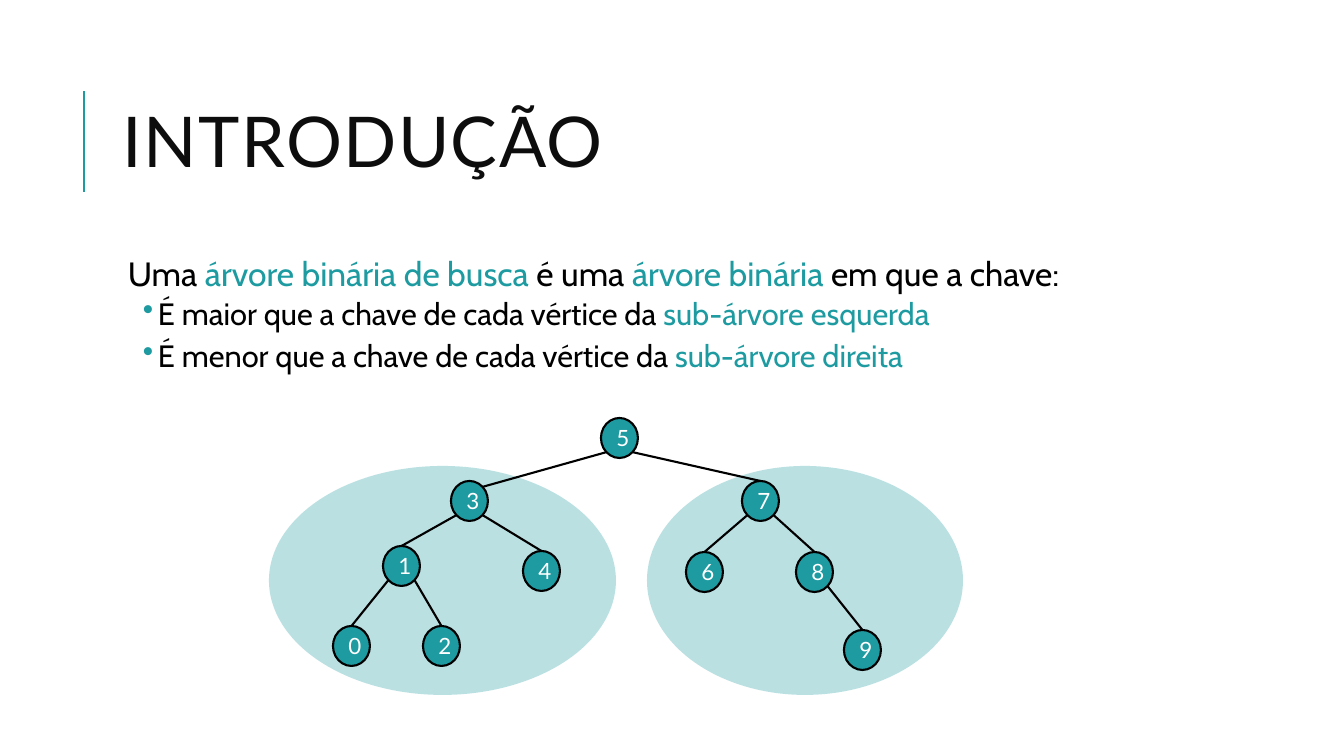
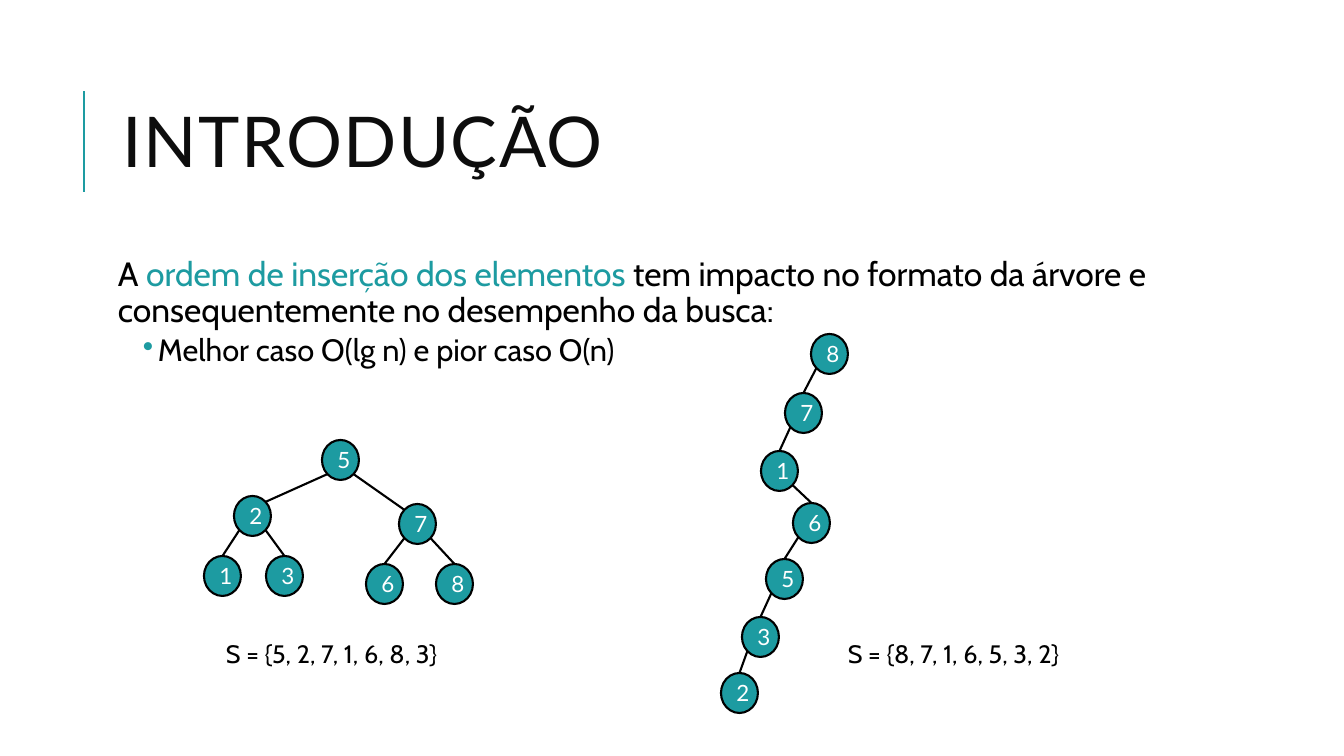
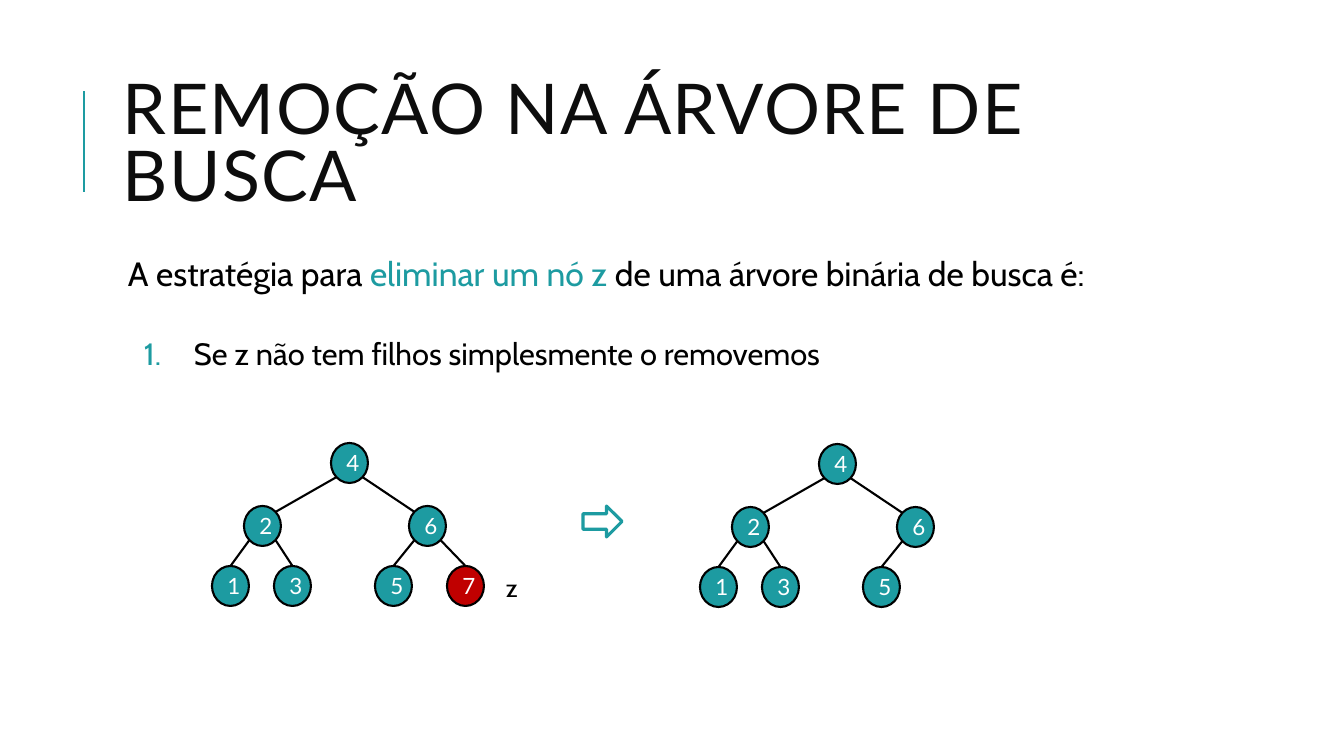
"""Builds three slides on binary search trees."""
from dataclasses import dataclass
from math import sqrt
from typing import Optional

from lxml import etree
from pptx import Presentation
from pptx import util as u
from pptx.dml.color import RGBColor
from pptx.enum import shapes, text
from pptx.oxml.ns import qn

PX = 914400 / 100.8
TEAL = RGBColor(0x1D, 0x9B, 0xA1)
RED = RGBColor(0xC0, 0x00, 0x00)
INK = RGBColor(0x0D, 0x0D, 0x0D)
BLACK = RGBColor(0x00, 0x00, 0x00)
WHITE = RGBColor(0xFF, 0xFF, 0xFF)
HEAD_FONT, BODY_FONT = "Lato", "Cabin"
NODE_W, NODE_H = 37, 40
DIAGONAL = sqrt(2) / 4


@dataclass(frozen=True)
class Box:
    x: int
    y: int
    w: int
    h: int


@dataclass(frozen=True)
class Run:
    text: str
    color: RGBColor = BLACK


@dataclass(frozen=True)
class Para:
    runs: tuple[Run, ...]
    size: int = 24
    before: float = 12
    after: float = 2
    margin: int = 0
    hanging: int = 0
    bullet: Optional[tuple[str, str, str]] = None


@dataclass(frozen=True)
class Node:
    key: int
    x: int
    y: int
    parent: Optional[int] = None
    at_corner: bool = False
    color: RGBColor = TEAL


TITLE = Box(113, 65, 1072, 165)
BODY = Box(113, 252, 1072, 444)
DOT = ("a:buChar", "char", "•")
NUMBER = ("a:buAutoNum", "type", "arabicPeriod")

SUBTREES = (Box(269, 466, 347, 229), Box(647, 466, 316, 229))
SEARCH_TREE = (
    Node(5, 601, 418),
    Node(3, 451, 481, 5, True), Node(7, 742, 481, 5),
    Node(1, 383, 546, 3), Node(4, 523, 551, 3),
    Node(6, 686, 552, 7), Node(8, 796, 552, 7),
    Node(0, 333, 626, 1), Node(2, 423, 626, 1), Node(9, 844, 630, 8),
)
BEST_CASE = (
    Node(5, 322, 440),
    Node(2, 234, 496, 5, True), Node(7, 399, 504, 5, True),
    Node(1, 204, 556, 2), Node(3, 266, 556, 2),
    Node(6, 366, 564, 7), Node(8, 436, 564, 7),
)
WORST_CASE = (
    Node(8, 811, 334), Node(7, 785, 393, 8), Node(1, 761, 451, 7),
    Node(6, 793, 503, 1), Node(5, 766, 559, 6), Node(3, 742, 617, 5),
    Node(2, 721, 673, 3),
)
BEFORE_REMOVAL = (
    Node(4, 331, 443),
    Node(2, 244, 506, 4, True), Node(6, 409, 506, 4, True),
    Node(1, 212, 566, 2), Node(3, 274, 566, 2),
    Node(5, 375, 566, 6), Node(7, 447, 566, 6, color=RED),
)
AFTER_REMOVAL = tuple(n for n in BEFORE_REMOVAL if n.key != 7)


def px(value: float) -> u.Emu:
    """Turn pixels into EMU."""
    return u.Emu(round(value * PX))


def place(box: Box) -> tuple[u.Emu, ...]:
    """Give the EMU position and size of a box."""
    return px(box.x), px(box.y), px(box.w), px(box.h)


def add_run(p, content: str, font: str, size: float, color: RGBColor):
    """Add one formatted run to a paragraph."""
    r = p.add_run()
    r.text = content
    r.font.name, r.font.size = font, u.Pt(size)
    r.font.color.rgb = color
    return r


def add_line(parent, x1: float, y1: float, x2: float, y2: float,
             color: RGBColor = BLACK) -> None:
    """Draw a straight line without a shadow."""
    line = parent.add_connector(shapes.MSO_CONNECTOR.STRAIGHT,
                                px(x1), px(y1), px(x2), px(y2))
    line.line.color.rgb = color
    line.line.width = u.Pt(1.5)
    etree.SubElement(line._element.spPr, qn("a:effectLst"))


def add_preset(parent, kind, box: Box, fill: RGBColor,
               line: Optional[RGBColor] = None, width: float = 1.5):
    """Draw a flat preset shape."""
    sp = parent.add_shape(kind, *place(box))
    sp.shadow.inherit = False
    sp.fill.solid()
    sp.fill.fore_color.rgb = fill
    if line is None:
        sp.line.fill.background()
    else:
        sp.line.color.rgb = line
        sp.line.width = u.Pt(width)
    return sp


def add_subtree(s, box: Box) -> None:
    """Draw the translucent ellipse behind a subtree."""
    sp = add_preset(s.shapes, shapes.MSO_SHAPE.OVAL, box, TEAL)
    color = sp._element.spPr.find(".//" + qn("a:srgbClr"))
    etree.SubElement(color, qn("a:alpha")).set("val", "30000")


def add_edge(parent, top: Node, child: Node) -> None:
    """Join a node's lower corner to its child."""
    side = 1 if child.x > top.x else -1
    end_x, end_y = child.x + NODE_W / 2, child.y
    if child.at_corner:
        end_x -= side * DIAGONAL * NODE_W
        end_y += (0.5 - DIAGONAL) * NODE_H
    add_line(parent, top.x + (0.5 + side * DIAGONAL) * NODE_W,
             top.y + (0.5 + DIAGONAL) * NODE_H, end_x, end_y)


def add_tree(parent, nodes: tuple[Node, ...], dx: int = 0, dy: int = 0) -> None:
    """Draw the nodes and edges of a tree, shifted by dx and dy."""
    placed = {n.key: Node(n.key, n.x + dx, n.y + dy, n.parent, n.at_corner, n.color)
              for n in nodes}
    for node in placed.values():
        sp = add_preset(parent, shapes.MSO_SHAPE.OVAL,
                        Box(node.x, node.y, NODE_W, NODE_H), node.color, BLACK)
        tf = sp.text_frame
        tf.vertical_anchor = text.MSO_ANCHOR.MIDDLE
        p = tf.paragraphs[0]
        p.alignment = text.PP_ALIGN.CENTER
        add_run(p, str(node.key), HEAD_FONT, 16, WHITE)
        if node.parent is not None:
            add_edge(parent, placed[node.parent], node)


def add_label(s, box: Box, content: str, wrap: bool = True) -> None:
    """Add a short caption."""
    tf = s.shapes.add_textbox(*place(box)).text_frame
    tf.word_wrap = wrap
    tf.auto_size = text.MSO_AUTO_SIZE.SHAPE_TO_FIT_TEXT
    add_run(tf.paragraphs[0], content, BODY_FONT, 18, BLACK)


def add_body(s, paras: tuple[Para, ...]) -> None:
    """Add the body text with its bullets."""
    tf = s.shapes.add_textbox(*place(BODY)).text_frame
    tf.word_wrap = True
    tf.margin_left = tf.margin_right = tf.margin_top = tf.margin_bottom = px(5)
    for i, para in enumerate(paras):
        p = tf.add_paragraph() if i else tf.paragraphs[0]
        p.line_spacing = 0.9
        p.space_before, p.space_after = u.Pt(para.before), u.Pt(para.after)
        pPr = p._p.get_or_add_pPr()
        pPr.set("marL", str(px(para.margin)))
        pPr.set("indent", str(-px(para.hanging)))
        if para.bullet:
            p.level = 1
            tag, attribute, value = para.bullet
            color = etree.SubElement(pPr, qn("a:buClr"))
            etree.SubElement(color, qn("a:srgbClr")).set("val", str(TEAL))
            etree.SubElement(pPr, qn(tag)).set(attribute, value)
        for run in para.runs:
            add_run(p, run.text, BODY_FONT, para.size, run.color)


def item(*runs: Run) -> Para:
    """Make a dotted second-level paragraph."""
    return Para(runs, 22, 2, 4, 40, 15, DOT)


def add_slide(prs, title: str):
    """Add a slide with the accent line and the title."""
    s = prs.slides.add_slide(prs.slide_layouts[6])
    add_line(s.shapes, 84, 192, 84, 91, TEAL)
    tf = s.shapes.add_textbox(*place(TITLE)).text_frame
    tf.word_wrap = True
    tf.vertical_anchor = text.MSO_ANCHOR.MIDDLE
    p = tf.paragraphs[0]
    p.line_spacing = 0.8
    r = add_run(p, title, HEAD_FONT, 50, INK)
    r._r.get_or_add_rPr().set("spc", "100")
    return s


def definition_slide(prs) -> None:
    """Define the binary search tree."""
    s = add_slide(prs, "INTRODUÇÃO")
    for box in SUBTREES:
        add_subtree(s, box)
    add_body(s, (
        Para((Run("Uma "), Run("árvore binária de busca", TEAL), Run(" é uma "),
              Run("árvore binária ", TEAL), Run("em que a chave:")), margin=10),
        item(Run("É maior que a chave de cada vértice da "),
             Run("sub-árvore esquerda", TEAL)),
        item(Run("É menor que a chave de cada vértice da "),
             Run("sub-árvore direita", TEAL)),
    ))
    add_tree(s.shapes, SEARCH_TREE)


def insertion_slide(prs) -> None:
    """Compare the best and worst insertion orders."""
    s = add_slide(prs, "INTRODUÇÃO")
    add_body(s, (
        Para((Run("A "), Run("ordem de inserção dos elementos ", TEAL),
              Run("tem impacto no formato da árvore e "
                  "consequentemente no desempenho da busca:"))),
        item(Run("Melhor caso O(lg n) e pior caso O(n)")),
    ))
    add_tree(s.shapes.add_group_shape().shapes, BEST_CASE)
    add_label(s, Box(216, 633, 266, 40), "S = {5, 2, 7, 1, 6, 8, 3}")
    add_tree(s.shapes.add_group_shape().shapes, WORST_CASE)
    add_label(s, Box(838, 633, 270, 40), "S = {8, 7, 1, 6, 5, 3, 2}")


def removal_slide(prs) -> None:
    """Show the removal of a leaf."""
    s = add_slide(prs, "REMOÇÃO NA ÁRVORE DE BUSCA")
    add_body(s, (
        Para((Run("A estratégia para "), Run("eliminar um nó z ", TEAL),
              Run("de uma árvore binária de busca é:")), margin=10),
        Para((Run("Se z não tem filhos simplesmente o removemos"),),
             22, 30.5, 4, 76, 50, NUMBER),
    ))
    add_tree(s.shapes.add_group_shape().shapes, BEFORE_REMOVAL)
    add_preset(s.shapes, shapes.MSO_SHAPE.RIGHT_ARROW, Box(583, 506, 39, 31),
               WHITE, TEAL, 2.25)
    add_tree(s.shapes.add_group_shape().shapes, AFTER_REMOVAL, 488, 1)
    add_label(s, Box(496, 567, 31, 40), "z", wrap=False)


def main() -> None:
    """Build and save the presentation."""
    prs = Presentation()
    prs.slide_width, prs.slide_height = px(1344), px(756)
    definition_slide(prs)
    insertion_slide(prs)
    removal_slide(prs)
    prs.save("out.pptx")


main()
